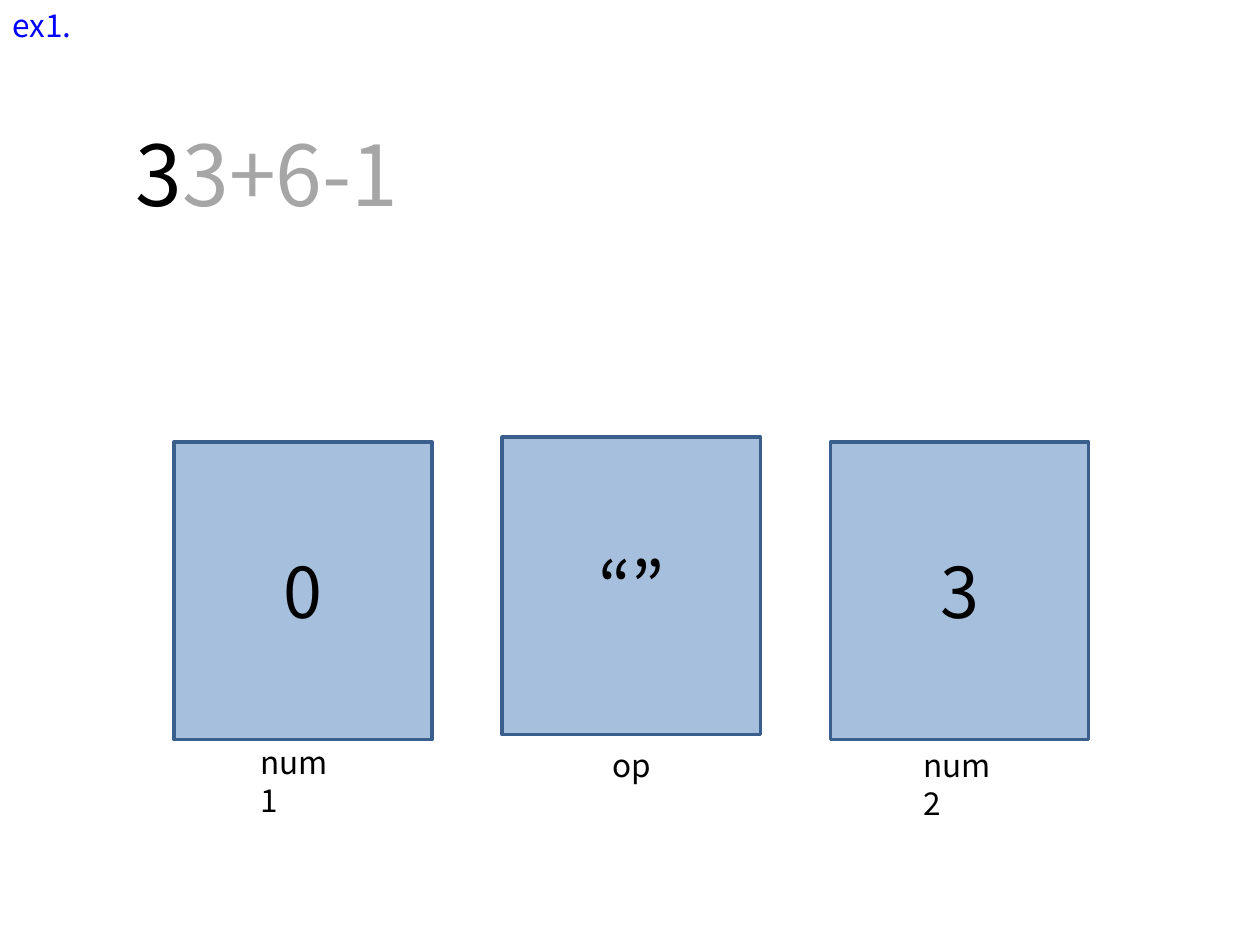
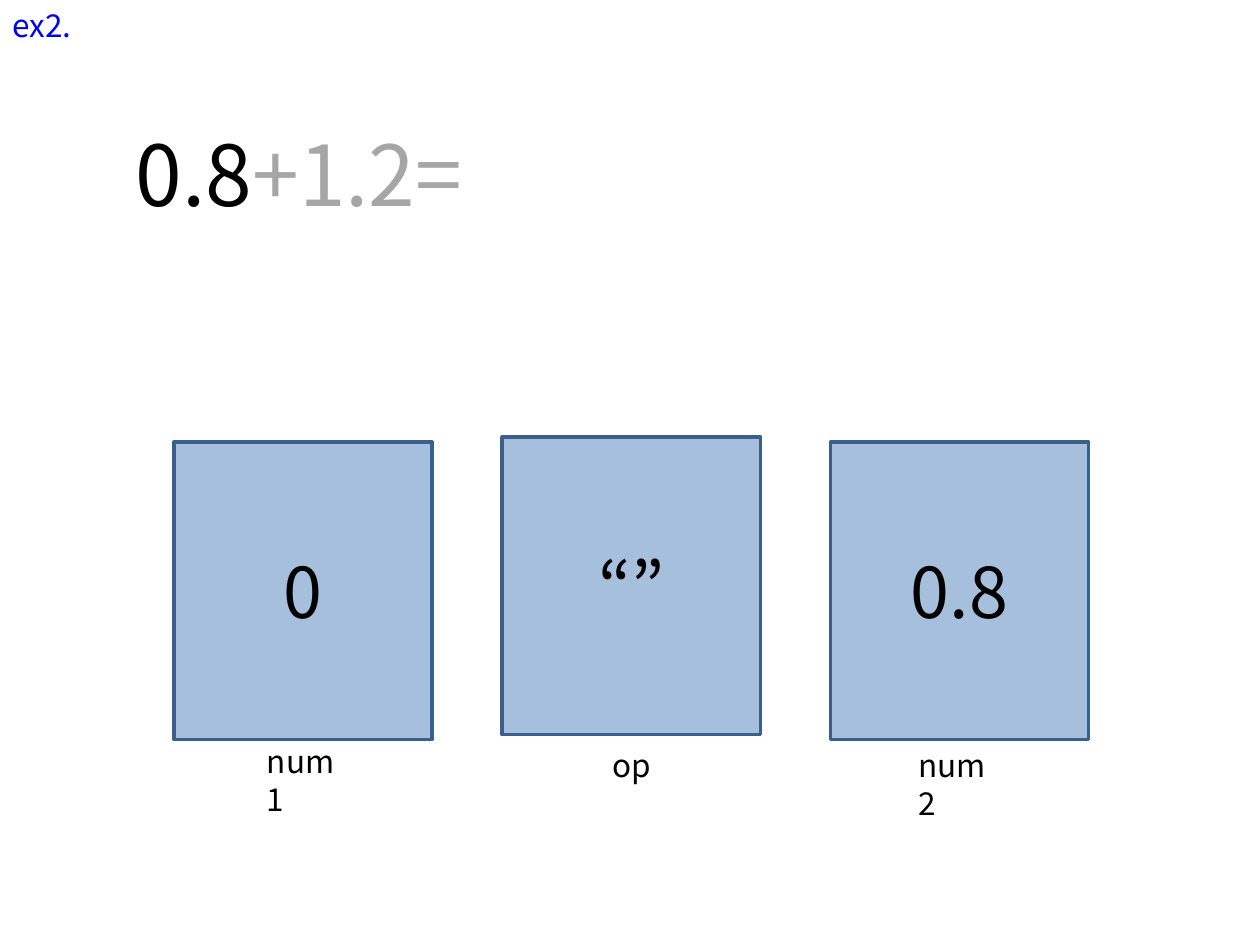
"""Build two slides that show a calculator's registers while an expression is read."""
import pptx
import pptx.dml.color
import pptx.enum.shapes
import pptx.enum.text
import pptx.oxml
import pptx.oxml.ns
import pptx.util
from lxml import etree

BLACK = pptx.dml.color.RGBColor(0x00, 0x00, 0x00)
GREY = pptx.dml.color.RGBColor(0xA6, 0xA6, 0xA6)
TITLE_BLUE = pptx.dml.color.RGBColor(0x00, 0x00, 0xFF)
BOX_BLUE = pptx.dml.color.RGBColor(0x4F, 0x81, 0xBD)
BORDER_BLUE = pptx.dml.color.RGBColor(0x3A, 0x5F, 0x8C)
FONT = "Noto Sans CJK KR"

EXAMPLES = [
    {"title": "ex1.", "read": "3", "unread": "3+6-1", "width": 2.44,
     "registers": [("0", "num1", 1.97, 5.85), ("“”", "op", 4.76, 5.87), ("3", "num2", 7.23, 5.87)]},
    {"title": "ex2.", "read": "0.8", "unread": "+1.2=", "width": 2.93,
     "registers": [("0", "num1", 2.02, 5.84), ("“”", "op", 4.76, 5.87), ("0.8", "num2", 7.19, 5.87)]},
]
BOX_LEFT, BOX_PITCH = 1.38, 2.605
BOX_WIDTH, BOX_HEIGHT = 2.05, 2.36
BOX_TOPS = (3.51, 3.47, 3.51)
LABEL_WIDTHS = {"num1": 0.85, "op": 0.55, "num2": 0.85}
LABEL_HEIGHT = 0.4


def inches(*lengths):
    return [pptx.util.Inches(length) for length in lengths]


def format_run(run, size, color):
    run.font.size = pptx.util.Pt(size)
    run.font.name = FONT
    run.font.color.rgb = color
    east_asian = etree.SubElement(run.font._element, pptx.oxml.ns.qn("a:ea"))
    east_asian.set("typeface", FONT)


def add_label(shapes, text, left, top, width):
    label = shapes.add_textbox(*inches(left, top, width, LABEL_HEIGHT))
    label.text_frame.word_wrap = True
    label.text_frame.text = text
    format_run(label.text_frame.paragraphs[0].runs[0], 18, BLACK)


def add_register(slide, column, value, name, label_left, label_top):
    group = slide.shapes.add_group_shape()
    box = group.shapes.add_shape(
        pptx.enum.shapes.MSO_SHAPE.RECTANGLE,
        *inches(BOX_LEFT + column * BOX_PITCH, BOX_TOPS[column], BOX_WIDTH, BOX_HEIGHT))
    box.shadow.inherit = False
    box.fill.solid()
    box.fill.fore_color.rgb = BOX_BLUE
    fill_color = box._element.spPr.find(".//" + pptx.oxml.ns.qn("a:srgbClr"))
    etree.SubElement(fill_color, pptx.oxml.ns.qn("a:alpha")).set("val", "50000")
    box.line.color.rgb = BORDER_BLUE
    box.line.width = pptx.util.Pt(2)
    frame = box.text_frame
    frame.text = value
    frame.vertical_anchor = pptx.enum.text.MSO_ANCHOR.MIDDLE
    frame.paragraphs[0].alignment = pptx.enum.text.PP_ALIGN.CENTER
    format_run(frame.paragraphs[0].runs[0], 40, BLACK)
    add_label(group.shapes, name, label_left, label_top, LABEL_WIDTHS[name])


def add_title(slide, text):
    title = slide.shapes.title
    title.left, title.top, title.width, title.height = inches(0, 0, 0.74, 0.4)
    frame = title.text_frame
    frame.text = text
    frame.word_wrap = False
    frame.auto_size = pptx.enum.text.MSO_AUTO_SIZE.SHAPE_TO_FIT_TEXT
    frame.vertical_anchor = pptx.enum.text.MSO_ANCHOR.TOP
    frame.paragraphs[0].alignment = pptx.enum.text.PP_ALIGN.LEFT
    format_run(frame.paragraphs[0].runs[0], 18, TITLE_BLUE)


def add_expression(slide, read, unread, width):
    expression = slide.shapes.add_textbox(*inches(0.98, 0.92, width, 0.91))
    frame = expression.text_frame
    frame.word_wrap = False
    frame.auto_size = pptx.enum.text.MSO_AUTO_SIZE.SHAPE_TO_FIT_TEXT
    for text, color in ((read, BLACK), (unread, GREY)):
        run = frame.paragraphs[0].add_run()
        run.text = text
        format_run(run, 48, color)


def main():
    presentation = pptx.Presentation()
    presentation.slide_width, presentation.slide_height = inches(10, 7.5)
    title_only = presentation.slide_layouts.get_by_name("Title Only")
    for example in EXAMPLES:
        slide = presentation.slides.add_slide(title_only)
        add_title(slide, example["title"])
        add_expression(slide, example["read"], example["unread"], example["width"])
        for column, register in enumerate(example["registers"]):
            add_register(slide, column, *register)
    presentation.save("out.pptx")


if __name__ == "__main__":
    main()
